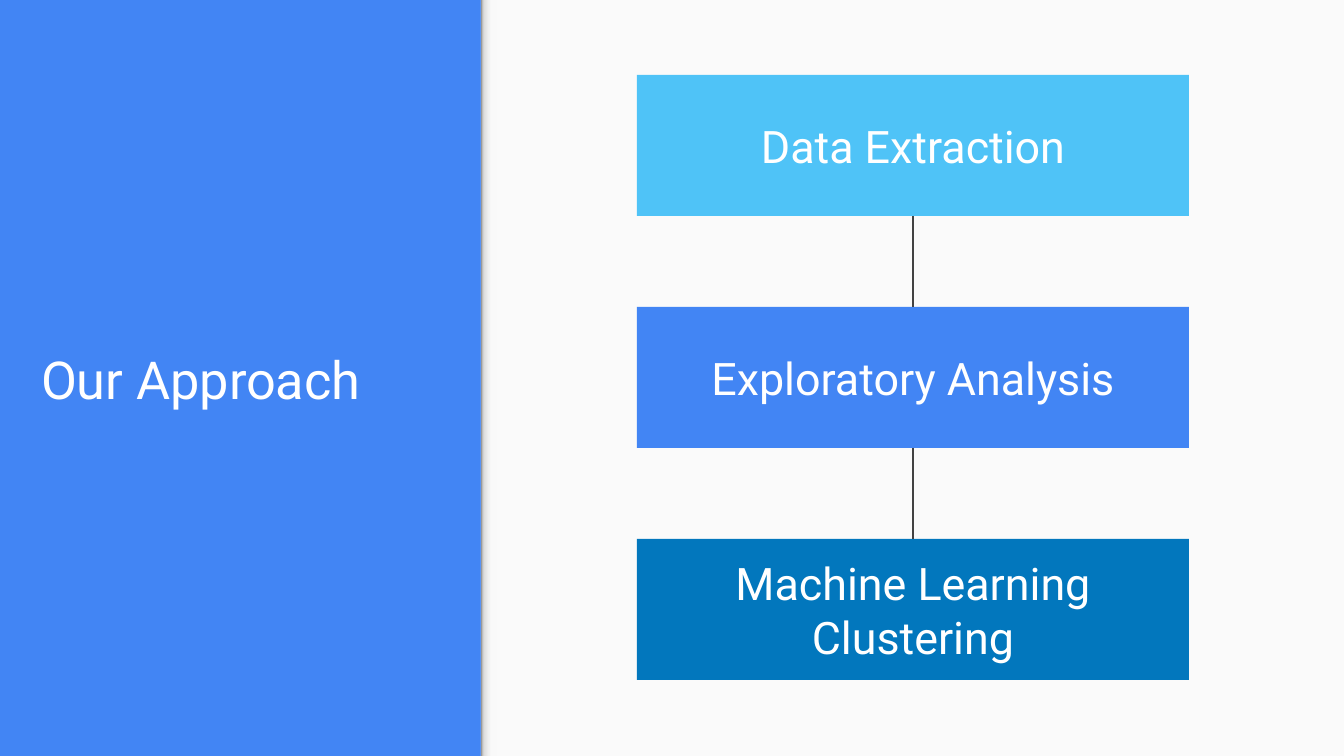
from copy import deepcopy

from lxml.etree import SubElement
from pptx import Presentation
from pptx.dml.color import RGBColor
from pptx.enum.shapes import MSO_CONNECTOR, MSO_SHAPE
from pptx.enum.text import MSO_ANCHOR, PP_ALIGN
from pptx.oxml.ns import qn
from pptx.util import Emu, Pt

WIDTH, HEIGHT = 1344, 756
EMU_PER_PX = 914400 / 134.4
COLORS = {
    "blue": "4285F4",
    "paper": "FAFAFA",
    "sky": "4FC3F7",
    "navy": "0277BD",
    "white": "FFFFFF",
    "line": "424242",
    "edge_light": "F9F9F9",
    "edge_mid": "DEDEDE",
    "edge_dark": "999999",
}


def px(value):
    return Emu(round(value * EMU_PER_PX))


def rgb(name):
    return RGBColor.from_string(COLORS[name])


def write_text(frame, text, size=24, color="white", font="Roboto",
               align=PP_ALIGN.CENTER, anchor=MSO_ANCHOR.MIDDLE, inset=13):
    frame.word_wrap = True
    frame.vertical_anchor = anchor
    frame.margin_left = frame.margin_right = px(inset)
    frame.margin_top = frame.margin_bottom = px(inset)
    for index, line in enumerate(text.split("\n")):
        paragraph = frame.add_paragraph() if index else frame.paragraphs[0]
        paragraph.alignment = align
        run = paragraph.add_run()
        run.text = line
        run.font.name = font
        run.font.size = Pt(size)
        run.font.color.rgb = rgb(color)


class Deck:
    def __init__(self):
        self.presentation = Presentation()
        self.presentation.slide_width = px(WIDTH)
        self.presentation.slide_height = px(HEIGHT)
        self.slide = self.presentation.slides.add_slide(
            self.presentation.slide_layouts[6])

    def background(self, color):
        fill = self.slide.background.fill
        fill.solid()
        fill.fore_color.rgb = rgb(color)

    def rectangle(self, left, top, width, height, color):
        shape = self.slide.shapes.add_shape(
            MSO_SHAPE.RECTANGLE, px(left), px(top), px(width), px(height))
        shape.shadow.inherit = False
        shape.line.fill.background()
        shape.fill.solid()
        shape.fill.fore_color.rgb = rgb(color)
        return shape

    def edge_shadow(self, left, width, stops):
        edge = self.rectangle(left + (width - HEIGHT) / 2, (HEIGHT - width) / 2,
                              HEIGHT, width, "edge_light")
        edge.rotation = 270
        edge.fill.gradient()
        edge.fill.gradient_angle = 90
        stop_list = next(edge.element.iter(qn("a:gsLst")))
        for _ in stops[2:]:
            stop_list.append(deepcopy(stop_list[0]))
        for stop, (position, color) in zip(edge.fill.gradient_stops, stops):
            stop.position = position
            stop.color.rgb = rgb(color)

    def text(self, left, top, width, height, text, **style):
        box = self.slide.shapes.add_textbox(
            px(left), px(top), px(width), px(height))
        write_text(box.text_frame, text, **style)

    def step(self, left, top, width, height, text, color):
        box = self.rectangle(left, top, width, height, color)
        write_text(box.text_frame, text)
        return box

    def connect(self, upper, lower):
        link = self.slide.shapes.add_connector(MSO_CONNECTOR.STRAIGHT, 0, 0, 0, 0)
        link.begin_connect(upper, 2)
        link.end_connect(lower, 0)
        link.line.color.rgb = rgb("line")
        link.line.width = Pt(0.75)
        SubElement(link.element.spPr, qn("a:effectLst"))

    def save(self):
        self.presentation.save("out.pptx")


def main():
    deck = Deck()
    deck.background("blue")
    panel_left = 481
    deck.rectangle(panel_left, 0, WIDTH - panel_left, HEIGHT, "paper")
    deck.edge_shadow(panel_left, 16, [
        (0, "edge_light"), (0.36, "edge_light"),
        (0.8, "edge_mid"), (1, "edge_dark")])
    deck.text(28, 333, 413, 90, "Our Approach", size=28,
              align=PP_ALIGN.LEFT, anchor=MSO_ANCHOR.BOTTOM)

    steps = [
        ("Data Extraction", "sky"),
        ("Exploratory Analysis", "blue"),
        ("Machine Learning\nClustering", "navy"),
    ]
    first_top, pitch = 75, 232
    previous = None
    for index, (label, color) in enumerate(steps):
        current = deck.step(637, first_top + index * pitch, 552, 141, label, color)
        if previous is not None:
            deck.connect(previous, current)
        previous = current
    deck.save()


if __name__ == "__main__":
    main()
